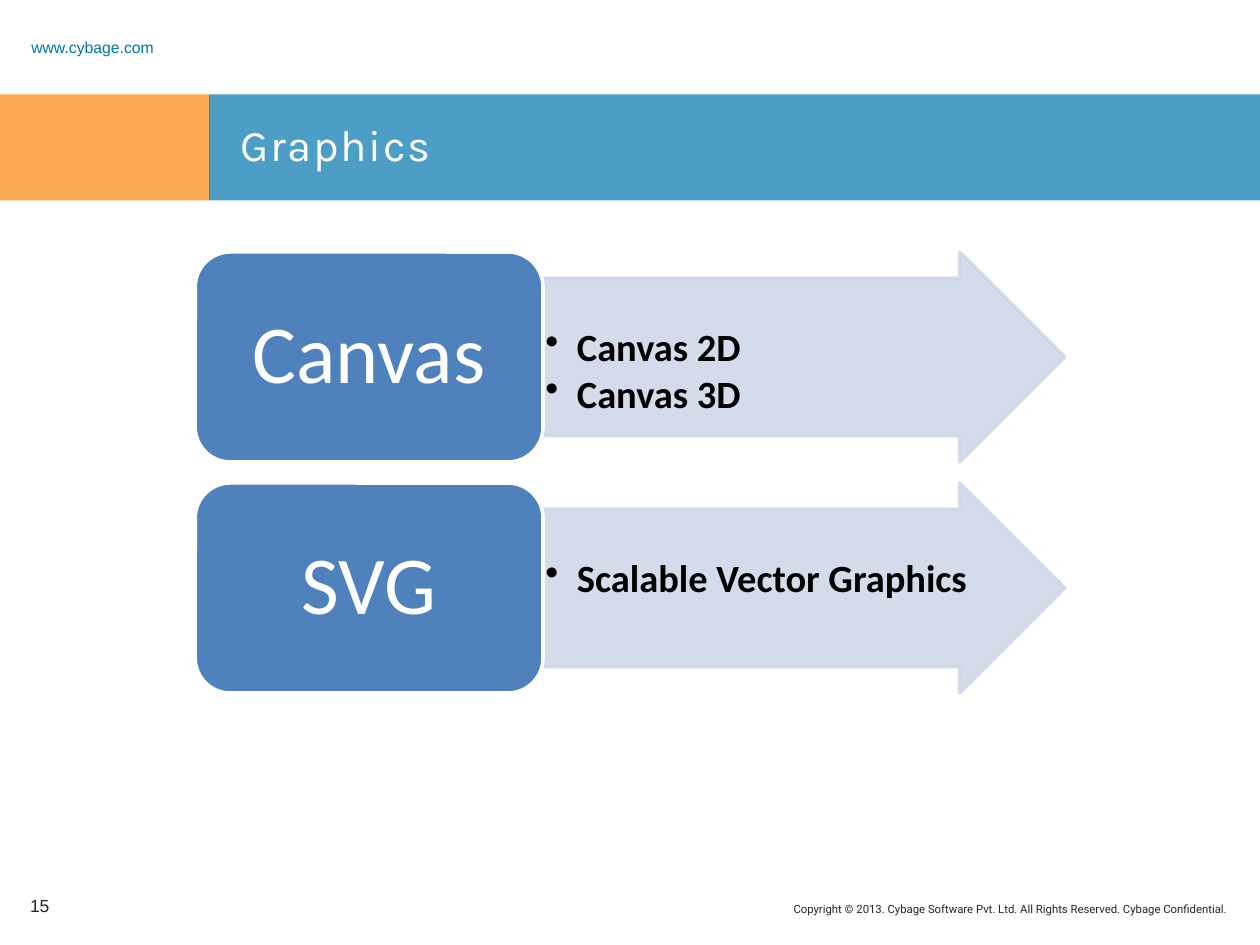
from lxml import etree
from pptx import Presentation
from pptx.dml.color import RGBColor
from pptx.enum.shapes import MSO_SHAPE
from pptx.enum.text import MSO_ANCHOR, PP_ALIGN
from pptx.oxml.ns import qn
from pptx.util import Pt

RECT, ROUND, ARROW = MSO_SHAPE.RECTANGLE, MSO_SHAPE.ROUNDED_RECTANGLE, MSO_SHAPE.RIGHT_ARROW
TOP, MIDDLE = MSO_ANCHOR.TOP, MSO_ANCHOR.MIDDLE
LEFT, CENTER, RIGHT = PP_ALIGN.LEFT, PP_ALIGN.CENTER, PP_ALIGN.RIGHT

# Colours, and text styles as font, size, colour, bold
THEME = {
    "orange": "F88608", "blue": "0075B0", "box": "4F81BD",
    "arrow": "D0D8E8", "edge": "FFFFFF",
    "title": ("Karla", 25, "FFFFFF", False),
    "site": ("Arial", 9, "0075B0", False),
    "number": ("Arial", 10, "262626", False),
    "legal": ("Roboto", 6.5, "262626", False),
    "label": ("Calibri", 47, "FFFFFF", False),
    "item": ("Calibri", 22, "000000", True),
}


def paint(part, name, alpha=100):
    """Give a fill or a line a solid theme colour."""
    part.solid()
    part.fore_color.rgb = RGBColor.from_string(THEME[name])
    if alpha < 100:
        color = part._xPr.find(qn("a:solidFill"))[0]
        etree.SubElement(color, qn("a:alpha"), val=str(alpha * 1000))


def write(shape, lines, style, align=LEFT, anchor=TOP, space=1.0, bullet=False):
    """Fill a shape with paragraphs in one text style."""
    frame = shape.text_frame
    frame.word_wrap = True
    frame.vertical_anchor = anchor
    frame.text = "\n".join(lines)
    face, size, color, bold = THEME[style]
    for para in frame.paragraphs:
        if bullet:
            props = para._p.get_or_add_pPr()
            props.set("marL", str(Pt(18)))
            props.set("indent", str(-Pt(18)))
            etree.SubElement(props, qn("a:buChar"), char="•")
            para.space_after = Pt(3)
        para.alignment = align
        para.line_spacing = space
        para.font.name = face
        para.font.size = Pt(size)
        para.font.bold = bold
        para.font.color.rgb = RGBColor.from_string(color)


deck = Presentation()
deck.slide_width, deck.slide_height = Pt(720), Pt(540)
slide = deck.slides.add_slide(deck.slide_layouts[5])
shapes = slide.shapes

# Header band
for left, width, name in ((0, 120, "orange"), (119.5, 600.5, "blue")):
    band = shapes.add_shape(RECT, Pt(left), Pt(54), Pt(width), Pt(60.5))
    band.shadow.inherit = False
    paint(band.fill, name, 70)
    band.line.fill.background()

# Title, brought in front of the band
title = shapes.title
title.left, title.top, title.width, title.height = Pt(130.3), Pt(63.4), Pt(571.7), Pt(44.6)
write(title, ["Graphics"], "title")
title.text_frame.paragraphs[0].runs[0]._r.get_or_add_rPr().set("spc", "100")
shapes._spTree.append(title._element)

# Site, slide number and copyright line
notes = (
    ("www.cybage.com", "site", (10.8, 17.3, 108, 13.7), LEFT, MIDDLE, 1.5),
    ("15", "number", (10.1, 503.3, 38.9, 28.8), LEFT, MIDDLE, 1.0),
    ("Copyright © 2013. Cybage Software Pvt. Ltd. All Rights Reserved. Cybage Confidential.",
     "legal", (293.8, 511.9, 414.7, 18.7), RIGHT, TOP, 1.0),
)
for text, style, place, align, anchor, space in notes:
    box = shapes.add_textbox(*map(Pt, place))
    write(box, [text], style, align, anchor, space)

# One row per topic: an arrow with its list, then the label box
topics = (("Canvas", ["Canvas 2D", "Canvas 3D"]), ("SVG", ["Scalable Vector Graphics"]))
for row, (topic, items) in enumerate(topics):
    top = Pt(144 + 132 * row)
    arrow = shapes.add_shape(ARROW, Pt(310.3), top, Pt(298), Pt(120))
    arrow.adjustments[0], arrow.adjustments[1] = 0.75, 0.5
    label = shapes.add_shape(ROUND, Pt(111.6), top, Pt(198.7), Pt(120))
    for shape, fill, edge, alpha in ((arrow, "arrow", "arrow", 90), (label, "box", "edge", 100)):
        shape.shadow.inherit = False
        paint(shape.fill, fill, alpha)
        paint(shape.line.fill, edge, alpha)
        shape.line.width = Pt(2)
    frame = arrow.text_frame
    frame.margin_left = frame.margin_right = frame.margin_bottom = Pt(1.4)
    frame.margin_top = Pt(28.4)
    write(arrow, items, "item", space=0.9, bullet=True)
    write(label, [topic], "label", CENTER, MIDDLE, 0.9)

deck.save("out.pptx")
